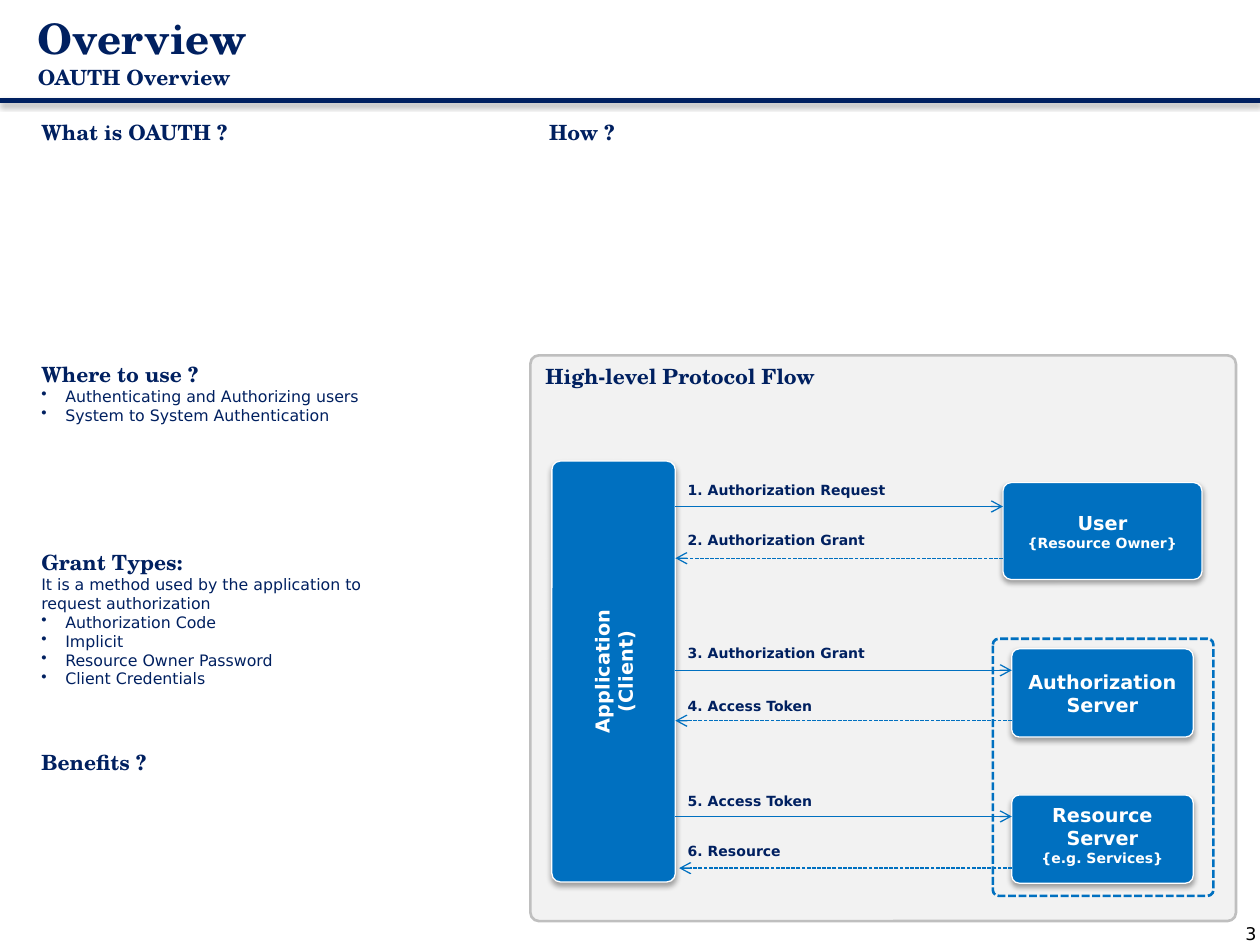
from dataclasses import dataclass

from lxml import etree
from pptx import Presentation
from pptx.dml.color import RGBColor
from pptx.enum import dml, shapes, text
from pptx.oxml import ns
from pptx.util import Inches, Pt


@dataclass(frozen=True)
class Theme:
    navy: str = "002060"
    blue: str = "0070C0"
    white: str = "FFFFFF"
    black: str = "000000"
    panel: str = "F2F2F2"
    border: str = "BFBFBF"
    serif: str = "TeX Gyre Schola"
    sans: str = "DejaVu Sans"
    title: int = 24
    heading: int = 12
    box: int = 11
    number: int = 10
    body: int = 9
    label: int = 8


THEME = Theme()
HEADING = dict(size=THEME.heading, font=THEME.serif, bold=True)
BOX = dict(size=THEME.box, color=THEME.white, bold=True, align=text.PP_ALIGN.CENTER)
BOX_NOTE = dict(BOX, size=THEME.label)
BULLET_INDENT = Inches(0.19)


def child(parent, tag, **attributes):
    return etree.SubElement(parent, ns.qn(tag), attributes)


def write(paragraph, words, *, size=THEME.body, font=THEME.sans, color=THEME.navy,
          bold=False, align=None, bullet=False):
    run = paragraph.add_run()
    run.text = words
    run.font.size = Pt(size)
    run.font.name = font
    run.font.bold = bold
    run.font.color.rgb = RGBColor.from_string(color)
    if align is not None:
        paragraph.alignment = align
    if bullet:
        properties = paragraph._p.get_or_add_pPr()
        properties.set("marL", str(BULLET_INDENT))
        properties.set("indent", str(-BULLET_INDENT))
        child(properties, "a:buChar", char="•")


def fill_frame(frame, lines, anchor=text.MSO_ANCHOR.TOP):
    frame.word_wrap = True
    frame.vertical_anchor = anchor
    for index, (words, style) in enumerate(lines):
        paragraph = frame.paragraphs[0] if index == 0 else frame.add_paragraph()
        write(paragraph, words, **style)


def add_text(slide, box, lines):
    frame = slide.shapes.add_textbox(*map(Inches, box)).text_frame
    fill_frame(frame, lines)


def add_shadow(part):
    properties = part._element.spPr
    for effects in properties.findall(ns.qn("a:effectLst")):
        properties.remove(effects)
    effects = child(properties, "a:effectLst")
    shadow = child(effects, "a:outerShdw", blurRad=str(Pt(3.1)), dist=str(Pt(1.8)),
                   dir="5400000", rotWithShape="0")
    color = child(shadow, "a:srgbClr", val=THEME.black)
    child(color, "a:alpha", val="35000")


def add_line(slide, start, end, color, width, dashed=False, arrow=False):
    line = slide.shapes.add_connector(shapes.MSO_CONNECTOR.STRAIGHT,
                                      *map(Inches, (*start, *end)))
    line.line.color.rgb = RGBColor.from_string(color)
    line.line.width = Pt(width)
    if dashed:
        line.line.dash_style = dml.MSO_LINE.SQUARE_DOT
    if arrow:
        child(line.line._get_or_add_ln(), "a:tailEnd", type="arrow")
    child(line._element.spPr, "a:effectLst")
    return line


def add_rounded(slide, box, radius, fill, line, width, dashed=False):
    rounded = slide.shapes.add_shape(shapes.MSO_SHAPE.ROUNDED_RECTANGLE, *map(Inches, box))
    rounded.adjustments[0] = radius
    rounded.shadow.inherit = False
    if fill:
        rounded.fill.solid()
        rounded.fill.fore_color.rgb = RGBColor.from_string(fill)
    else:
        rounded.fill.background()
    rounded.line.color.rgb = RGBColor.from_string(line)
    rounded.line.width = Pt(width)
    if dashed:
        rounded.line.dash_style = dml.MSO_LINE.SQUARE_DOT
    return rounded


def add_actor(slide, box, lines, radius=0.086, anchor=text.MSO_ANCHOR.MIDDLE):
    actor = add_rounded(slide, box, radius, THEME.blue, THEME.white, 0.75)
    add_shadow(actor)
    fill_frame(actor.text_frame, lines, anchor)
    return actor


def header(slide, box):
    left, top, width, height = box
    title = slide.shapes.title
    title.left, title.top = Inches(left + 0.2), Inches(top + 0.03)
    title.width, title.height = Inches(width - 0.45), Inches(0.7)
    frame = title.text_frame
    frame.auto_size = text.MSO_AUTO_SIZE.NONE
    frame.vertical_anchor = text.MSO_ANCHOR.TOP
    paragraph = frame.paragraphs[0]
    paragraph.line_spacing = 1.05
    write(paragraph, "Overview", **dict(HEADING, size=THEME.title, align=text.PP_ALIGN.LEFT))
    paragraph.add_line_break()
    write(paragraph, "OAUTH Overview", **HEADING)
    rule = top + height
    add_shadow(add_line(slide, (left, rule), (left + width, rule), THEME.navy, 3))


def topics(slide, box):
    left, top, width, _ = box
    bullet = dict(bullet=True)
    sections = [
        (0, 0.3, "What is OAUTH ?", []),
        (1.92, 0.61, "Where to use ?", [
            ("Authenticating and Authorizing users", bullet),
            ("System to System Authentication", bullet)]),
        (3.41, 1.21, "Grant Types:", [
            ("It is a method used by the application to request authorization", {}),
            ("Authorization Code", bullet),
            ("Implicit", bullet),
            ("Resource Owner Password", bullet),
            ("Client Credentials", bullet)]),
        (5, 0.3, "Benefits ?", []),
    ]
    for offset, height, heading, details in sections:
        add_text(slide, (left, top + offset, width, height), [(heading, HEADING), *details])


def protocol_flow(slide, box):
    left, top, _, _ = box
    panel = add_rounded(slide, box, 0.015, THEME.panel, THEME.border, 1.5)
    fill_frame(panel.text_frame,
               [("High-level Protocol Flow", dict(HEADING, align=text.PP_ALIGN.LEFT))])
    add_rounded(slide, (left + 3.67, top + 2.25, 1.75, 2.04), 0.026,
                None, THEME.blue, 1.5, dashed=True)

    client = add_actor(slide, (left + 0.17, top + 0.84, 0.98, 3.34),
                       [("Application", BOX), ("(Client)", BOX)], radius=0.069)
    client.text_frame._txBody.bodyPr.set("vert", "vert270")
    add_actor(slide, (left + 3.75, top + 1.01, 1.58, 0.77),
              [("User", BOX), ("{Resource Owner}", BOX_NOTE)])
    server_left = left + 3.82
    add_actor(slide, (server_left, top + 2.33, 1.44, 0.7), [("Authorization Server", BOX)])
    add_actor(slide, (server_left, top + 3.49, 1.44, 0.7),
              [("Resource", BOX), ("Server", BOX), ("{e.g. Services}", BOX_NOTE)],
              anchor=text.MSO_ANCHOR.TOP)

    client_edge, user_edge = left + 1.15, left + 3.75
    messages = [
        ("1. Authorization Request", 1.2, 0.95, client_edge, user_edge),
        ("2. Authorization Grant", 1.61, 1.35, user_edge, client_edge),
        ("3. Authorization Grant", 2.5, 2.25, client_edge, server_left),
        ("4. Access Token", 2.9, 2.67, server_left, client_edge),
        ("5. Access Token", 3.66, 3.42, client_edge, server_left),
        ("6. Resource", 4.07, 3.82, server_left, client_edge + 0.03),
    ]
    for words, arrow_y, label_y, start, end in messages:
        add_line(slide, (start, top + arrow_y), (end, top + arrow_y), THEME.blue, 0.75,
                 dashed=end < start, arrow=True)
        add_text(slide, (client_edge, top + label_y, 1.94, 0.24),
                 [(words, dict(size=THEME.label, bold=True))])


def main():
    deck = Presentation()
    deck.slide_width, deck.slide_height = Inches(10), Inches(7.5)
    slide = deck.slides.add_slide(deck.slide_layouts[5])
    header(slide, (0, 0, 10, 0.8))
    topics(slide, (0.23, 0.9, 3.07, 6))
    add_text(slide, (4.26, 0.9, 3.06, 0.3), [("How ?", HEADING)])
    protocol_flow(slide, (4.21, 2.82, 5.6, 4.49))
    add_text(slide, (9.18, 7.28, 0.89, 0.29),
             [("3", dict(size=THEME.number, color=THEME.black, align=text.PP_ALIGN.RIGHT))])
    deck.save("out.pptx")


if __name__ == "__main__":
    main()
